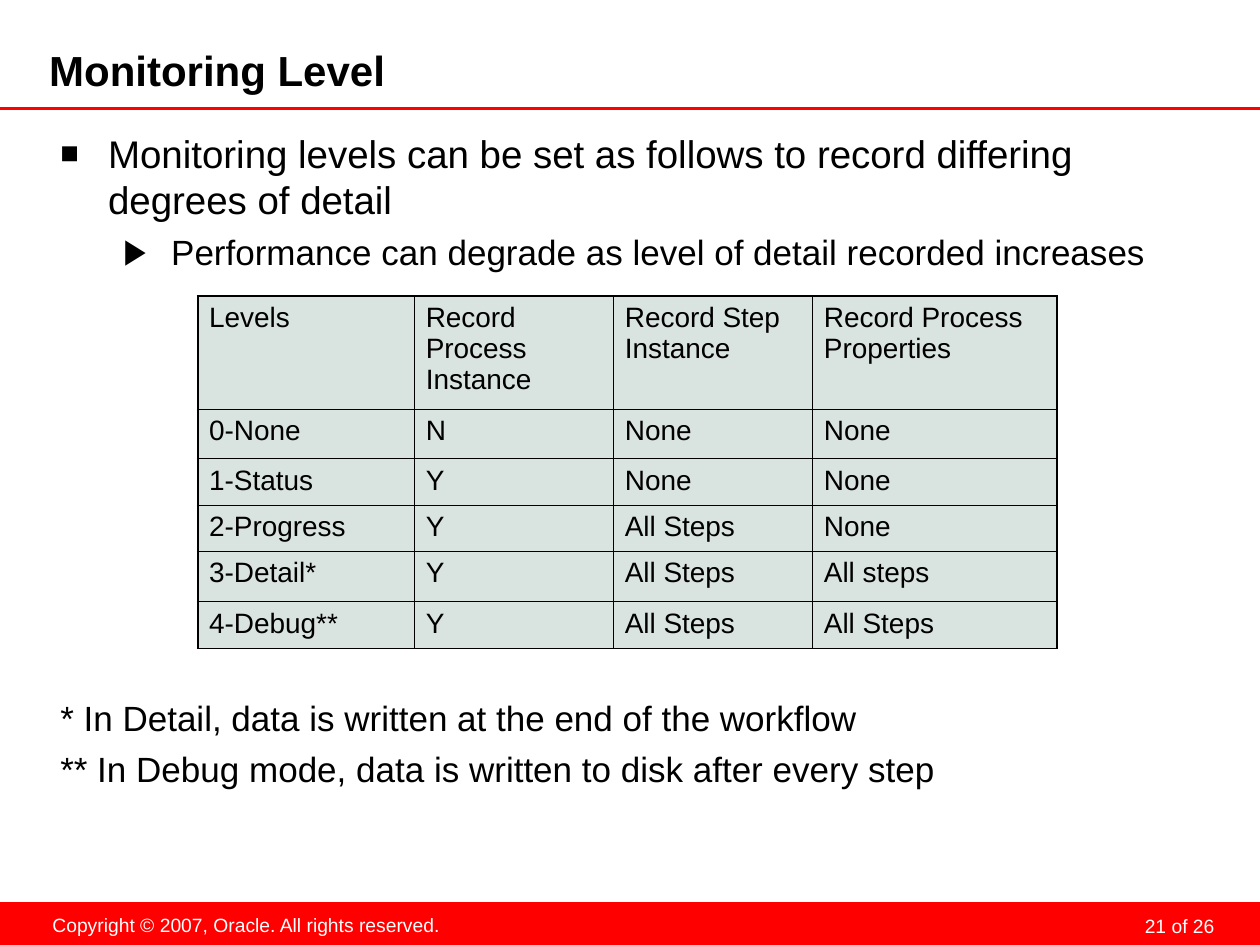
from lxml.etree import SubElement
from pptx import Presentation
from pptx.dml.color import RGBColor
from pptx.enum.shapes import MSO_CONNECTOR as CONN, MSO_SHAPE as SHAPE
from pptx.enum.text import MSO_ANCHOR as ANCHOR, PP_ALIGN as ALIGN
from pptx.oxml.ns import qn
from pptx.util import Inches, Pt

W, H = Inches(10), Inches(7.5)
FONT = "Arial"
BLACK, WHITE, RED, PALE = "000000", "FFFFFF", "FF0000", "D9E3E0"
rgb = RGBColor.from_string


def at(x, y, w, h):
    """Turn percentages of the slide into left, top, width, height."""
    return int(W * x / 100), int(H * y / 100), int(W * w / 100), int(H * h / 100)


def style(p, size, color, bold=False, align=ALIGN.LEFT):
    p.alignment = align
    for r in p.runs:
        r.font.name, r.font.size, r.font.bold = FONT, Pt(size), bold
        r.font.color.rgb = rgb(color)


prs = Presentation()
prs.slide_width, prs.slide_height = W, H
s = prs.slides.add_slide(prs.slide_layouts[5])

# Footer band
band = s.shapes.add_shape(SHAPE.RECTANGLE, *at(0, 95.47, 100, 4.53))
band.shadow.inherit = False
band.fill.solid()
band.fill.fore_color.rgb = rgb(RED)
band.line.fill.background()

# Footer texts
footers = [
    ("21 of 26", at(73.6, 95.87, 23.3, 3.33), (0.05, 0), ALIGN.RIGHT, True),
    ("Copyright © 2007, Oracle. All rights reserved.",
     at(3.1, 96, 32.9, 3.87), (0.1, 0.05), ALIGN.CENTER, False),
]
for text, place, (side, edge), align, wrap in footers:
    tf = s.shapes.add_textbox(*place).text_frame
    tf.margin_left = tf.margin_right = Inches(side)
    tf.margin_top = tf.margin_bottom = Inches(edge)
    tf.word_wrap = wrap
    tf.text = text
    style(tf.paragraphs[0], 11, WHITE, align=align)
    if align == ALIGN.RIGHT:
        tf.paragraphs[0].line_spacing = Pt(18)

# Title and the rule below it
title = s.shapes.title
title.left, title.top, title.width, title.height = at(3.9, 5.07, 78.7, 5.33)
tf = title.text_frame
tf.text = "Monitoring Level"
tf.vertical_anchor = ANCHOR.MIDDLE
tf.margin_left = tf.margin_top = 0
tf.margin_right = tf.margin_bottom = Inches(0.05)
style(tf.paragraphs[0], 24, BLACK, bold=True)

y = int(H * 0.115)
rule = s.shapes.add_connector(CONN.STRAIGHT, 0, y, W, y)
rule.line.color.rgb = rgb(RED)
rule.line.width = Pt(1.75)
SubElement(rule._element.spPr, qn("a:effectLst"))

# Bullets above the table, footnotes below: text, size, level, bullet, bullet size
blocks = [
    (at(3.8, 12.4, 94.2, 17.5), [
        ("Monitoring levels can be set as follows to record differing degrees of detail",
         22, 0, "■", 80),
        ("Performance can degrade as level of detail recorded increases", 20, 1, "▶", 100),
    ]),
    (at(3.8, 72.4, 94.2, 12), [
        ("* In Detail, data is written at the end of the workflow", 20, 0, None, 0),
        ("** In Debug mode, data is written to disk after every step", 20, 0, None, 0),
    ]),
]
for place, lines in blocks:
    tf = s.shapes.add_textbox(*place).text_frame
    tf.word_wrap = True
    tf.margin_top = Inches(0.1)
    for i, (text, size, level, bullet, share) in enumerate(lines):
        p = tf.add_paragraph() if i else tf.paragraphs[0]
        p.text = text
        p.level = level
        if i:
            p.space_before = Pt(5)
        pPr = p._p.get_or_add_pPr()
        pPr.set("marL", str(Inches(0.38 + 0.5 * level)))
        pPr.set("indent", str(-Inches(0.38)))
        if bullet:
            SubElement(SubElement(pPr, qn("a:buClr")), qn("a:srgbClr"), val=BLACK)
            SubElement(pPr, qn("a:buSzPct"), val=str(share * 1000))
            SubElement(pPr, qn("a:buFont"), typeface=FONT)
            SubElement(pPr, qn("a:buChar"), char=bullet)
        style(p, size, BLACK)

# Table of levels
rows = [
    ("Levels", "Record Process Instance", "Record Step Instance", "Record Process Properties"),
    ("0-None", "N", "None", "None"),
    ("1-Status", "Y", "None", "None"),
    ("2-Progress", "Y", "All Steps", "None"),
    ("3-Detail*", "Y", "All Steps", "All steps"),
    ("4-Debug**", "Y", "All Steps", "All Steps"),
]
widths = [1.72, 1.58, 1.58, 1.94]
heights = [0.9, 0.39, 0.37, 0.36, 0.4, 0.37]
last_row, last_col = len(rows) - 1, len(widths) - 1
table = s.shapes.add_table(len(rows), len(widths), *at(15.7, 31.33, 68.2, 37.2)).table
table.first_row = table.horz_banding = False
for column, width in zip(table.columns, widths):
    column.width = Inches(width)
for i, (row, height) in enumerate(zip(rows, heights)):
    table.rows[i].height = Inches(height)
    for j, text in enumerate(row):
        cell = table.cell(i, j)
        cell.margin_left = cell.margin_right = Inches(0.09)
        cell.margin_top = cell.margin_bottom = Inches(0.05)
        cell.text = text
        style(cell.text_frame.paragraphs[0], 16, BLACK)
        # Outer edges are heavier than inner ones
        outer = {"L": j == 0, "R": j == last_col, "T": i == 0, "B": i == last_row}
        for side, heavy in outer.items():
            ln = SubElement(cell._tc.get_or_add_tcPr(), qn("a:ln" + side),
                            w=str(Pt(1.08 if heavy else 0.45)))
            SubElement(SubElement(ln, qn("a:solidFill")), qn("a:srgbClr"), val=BLACK)
        cell.fill.solid()
        cell.fill.fore_color.rgb = rgb(PALE)

prs.save("out.pptx")
